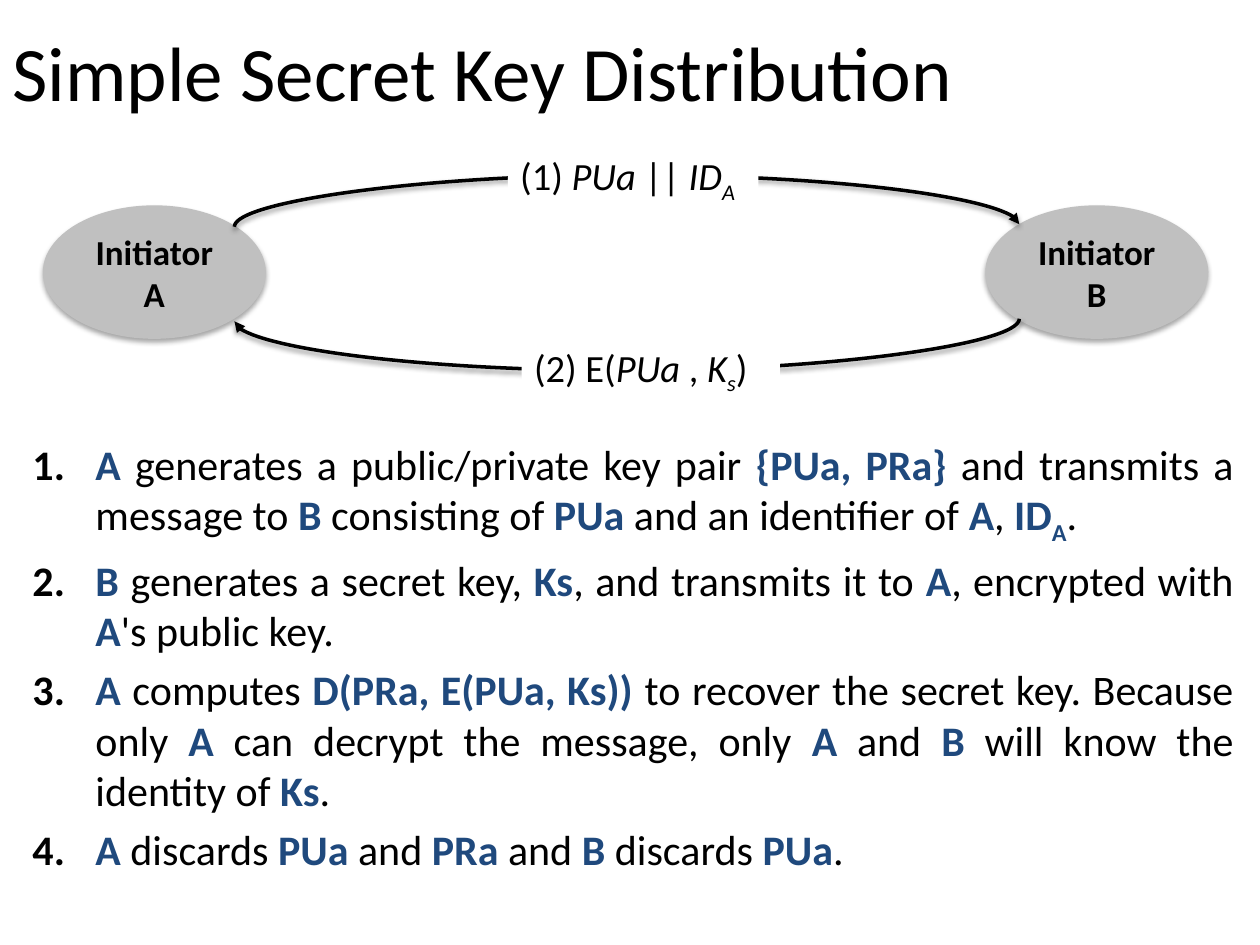
from lxml.etree import SubElement
from pptx import Presentation
from pptx.dml.color import RGBColor
from pptx.enum.shapes import MSO_CONNECTOR as Connector, MSO_SHAPE as Preset
from pptx.enum.text import MSO_ANCHOR as Anchor, PP_ALIGN as Align
from pptx.oxml.ns import qn
from pptx.util import Inches, Pt

THEME = {
    "font": "Calibri", "black": "000000", "accent": "1F497D", "node": "C0C0C0", "label": "FFFFFF",
    "title": 44, "steps": 24, "messages": 22, "nodes": 20,
}
STRONG = {"bold": True, "color": THEME["accent"]}
ITALIC = {"italic": True}

TITLE = "Simple Secret Key Distribution"
STEPS = [
    "*A* generates a public/private key pair *{PUa, PRa}* and transmits a message to *B* "
    "consisting of *PUa* and an identifier of *A*, *ID~A*.",
    "*B* generates a secret key, *Ks*, and transmits it to *A*, encrypted with *A*'s public key.",
    "*A* computes *D(PRa, E(PUa, Ks)) *to recover the secret key. Because only *A* can decrypt "
    "the message, only *A* and *B* will know the identity of *Ks*.",
    "*A* discards *PUa* and *PRa* and *B* discards *PUa*.",
]
NODES = [("A", 0.34), ("B", 7.82)]
NODE_TOP, NODE_WIDTH, NODE_HEIGHT = 1.63, 1.77, 1.06
MESSAGES = [
    ("(2) E(*PUa* , *K~s*)", (4.14, 2.74, 2.05, 0.39)),
    ("(1) *PUa* || *ID~A*", (4.03, 1.22, 1.99, 0.39)),
]
ARROW_LEFT, ARROW_RIGHT, ARROW_DROP, ARROW_BULGE = 1.86, 8.09, 0.02, 0.41
ARROWS = [(1.79, 1), (2.54, -1)]


def add_run(paragraph, text, size, bold=False, italic=False, color=THEME["black"], subscript=False):
    """Append one formatted run."""
    run = paragraph.add_run()
    run.text = text
    values = {"name": THEME["font"], "size": Pt(size), "bold": bold, "italic": italic}
    for name, value in values.items():
        setattr(run.font, name, value)
    run.font.color.rgb = RGBColor.from_string(color)
    if subscript:
        run._r.get_or_add_rPr().set("baseline", "-25000")


def add_marked(paragraph, text, size, emphasis):
    """Write text whose starred parts are emphasised and whose tilde starts a subscript."""
    for index, part in enumerate(text.split("*")):
        style = emphasis if index % 2 else {}
        base, _, subscript = part.partition("~")
        if base:
            add_run(paragraph, base, size, **style)
        if subscript:
            add_run(paragraph, subscript, size, subscript=True, **style)


def add_shadow(shape, distance, alpha):
    """Give a shape a soft shadow that falls straight down."""
    effects = SubElement(shape._element.spPr, qn("a:effectLst"))
    shadow = SubElement(effects, qn("a:outerShdw"), blurRad=str(Pt(3.1)), dist=str(Pt(distance)),
                        dir="5400000", rotWithShape="0")
    color = SubElement(shadow, qn("a:srgbClr"), val=THEME["black"])
    SubElement(color, qn("a:alpha"), val=str(alpha * 1000))


def add_text_box(slide, box, anchor):
    """Add a wrapping text box and return its frame."""
    frame = slide.shapes.add_textbox(*map(Inches, box)).text_frame
    frame.word_wrap, frame.vertical_anchor = True, anchor
    return frame


def add_filled(slide, preset, box, color):
    """Add a borderless filled shape with centred anchoring."""
    shape = slide.shapes.add_shape(preset, *map(Inches, box))
    shape.fill.solid()
    shape.fill.fore_color.rgb = RGBColor.from_string(color)
    shape.line.fill.background()
    shape.text_frame.word_wrap, shape.text_frame.vertical_anchor = True, Anchor.MIDDLE
    return shape


def add_steps(slide):
    """Write the numbered protocol steps."""
    frame = add_text_box(slide, (0.16, 3.43, 9.73, 3.56), Anchor.TOP)
    for index, step in enumerate(STEPS):
        paragraph = frame.add_paragraph() if index else frame.paragraphs[0]
        properties = paragraph._p.get_or_add_pPr()
        properties.set("marL", str(Inches(0.5)))
        properties.set("indent", str(-Inches(0.5)))
        bullet_color = SubElement(properties, qn("a:buClr"))
        SubElement(bullet_color, qn("a:srgbClr"), val=THEME["black"])
        SubElement(properties, qn("a:buFont"), typeface=THEME["font"])
        SubElement(properties, qn("a:buAutoNum"), type="arabicPeriod")
        paragraph.alignment = Align.JUSTIFY
        if index:
            paragraph.space_before = Pt(0.2 * THEME["steps"])
        add_marked(paragraph, step, THEME["steps"], STRONG)


def add_node(slide, name, left):
    """Draw one party of the exchange."""
    node = add_filled(slide, Preset.OVAL, (left, NODE_TOP, NODE_WIDTH, NODE_HEIGHT), THEME["node"])
    add_shadow(node, 1.8, 35)
    frame = node.text_frame
    for paragraph, text in zip((frame.paragraphs[0], frame.add_paragraph()), ("Initiator", name)):
        paragraph.alignment = Align.CENTER
        add_run(paragraph, text, THEME["nodes"], bold=True)


def add_arrow(slide, middle, side):
    """Draw a curved arrow as a quarter-turned connector bulging up or down."""
    center = (ARROW_LEFT + ARROW_RIGHT) / 2
    across, along = side * ARROW_DROP / 2, side * (ARROW_RIGHT - ARROW_LEFT) / 2
    ends = (center + across, middle + along, center - across, middle - along)
    arrow = slide.shapes.add_connector(Connector.CURVE, *map(Inches, ends))
    arrow.line.color.rgb = RGBColor.from_string(THEME["black"])
    arrow.line.width = Pt(2)
    SubElement(arrow.line._get_or_add_ln(), qn("a:tailEnd"), type="triangle")
    properties = arrow._element.spPr
    properties.find(qn("a:xfrm")).set("rot", "5400000")
    adjustments = properties.find(qn("a:prstGeom")).find(qn("a:avLst"))
    SubElement(adjustments, qn("a:gd"), name="adj1",
               fmla=f"val {round(ARROW_BULGE / ARROW_DROP * 100000)}")
    add_shadow(arrow, 1.6, 38)


def add_message(slide, text, box):
    """Place a message label over its arrow."""
    label = add_filled(slide, Preset.RECTANGLE, box, THEME["label"])
    label.shadow.inherit = False
    paragraph = label.text_frame.paragraphs[0]
    paragraph.alignment = Align.LEFT
    add_marked(paragraph, text, THEME["messages"], ITALIC)


def main():
    """Build and save the slide."""
    presentation = Presentation()
    presentation.slide_width, presentation.slide_height = Inches(10), Inches(7.5)
    slide = presentation.slides.add_slide(presentation.slide_layouts[6])
    title = add_text_box(slide, (0, 0.12, 9.58, 0.88), Anchor.MIDDLE)
    add_run(title.paragraphs[0], TITLE, THEME["title"])
    add_steps(slide)
    for node in NODES:
        add_node(slide, *node)
    for arrow in ARROWS:
        add_arrow(slide, *arrow)
    for message in MESSAGES:
        add_message(slide, *message)
    presentation.save("out.pptx")


if __name__ == "__main__":
    main()
